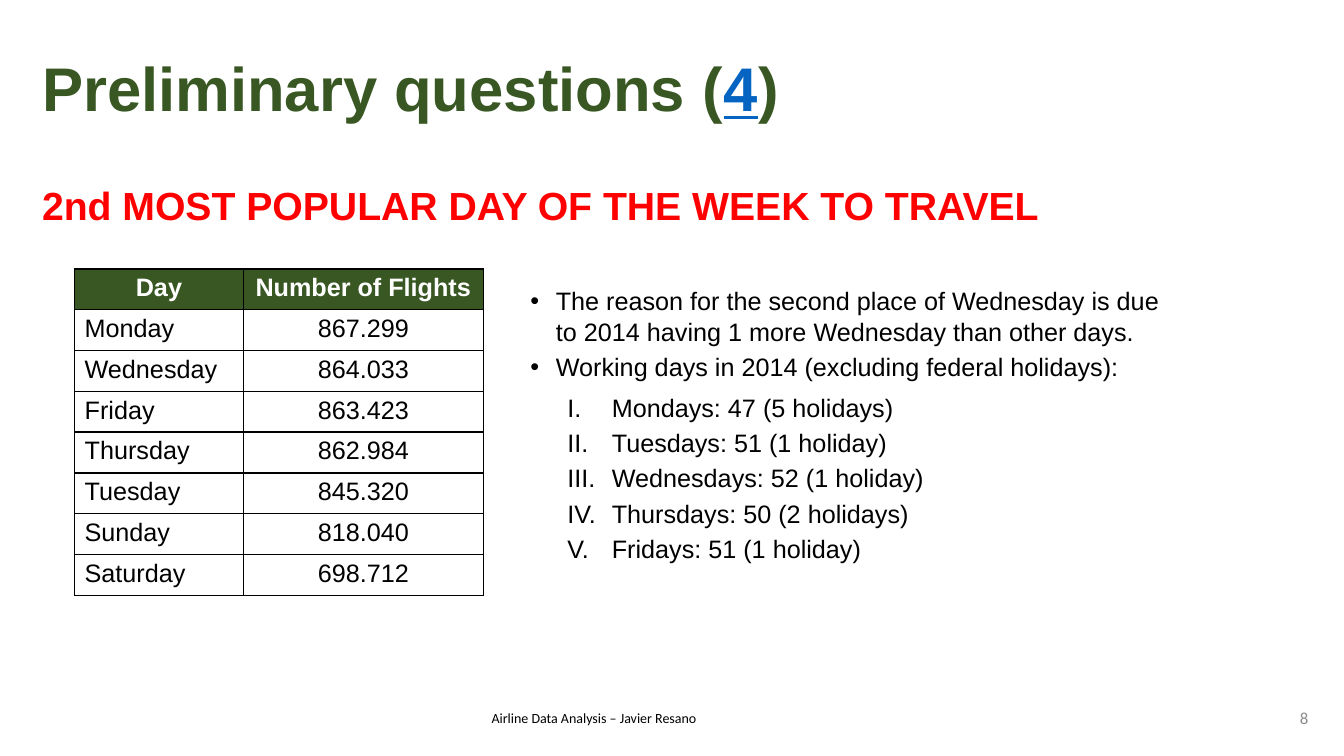
from lxml import etree
from pptx import Presentation
from pptx.dml.color import RGBColor
from pptx.enum.text import MSO_ANCHOR, MSO_AUTO_SIZE, PP_ALIGN
from pptx.oxml.ns import qn
from pptx.util import Cm, Pt

GREEN = RGBColor(0x38, 0x57, 0x23)
BLUE = RGBColor(0x05, 0x63, 0xC1)
RED = RGBColor(0xFF, 0x00, 0x00)
BLACK = RGBColor(0x00, 0x00, 0x00)
WHITE = RGBColor(0xFF, 0xFF, 0xFF)
GREY = RGBColor(0x8C, 0x8C, 0x8C)
LEFT, CENTER, RIGHT = PP_ALIGN.LEFT, PP_ALIGN.CENTER, PP_ALIGN.RIGHT
MIDDLE = MSO_ANCHOR.MIDDLE

BODY = {"size": Pt(18), "name": "Arial", "bold": False}
HEADER = {**BODY, "bold": True}
TITLE = {**HEADER, "size": Pt(44)}
HEADING = {**HEADER, "size": Pt(28)}
SMALL = {"size": Pt(10), "name": "Calibri"}
NUMBER = {**SMALL, "size": Pt(12)}


def add_run(p, text, style, color):
    r = p.add_run()
    r.text = text
    for key, value in style.items():
        setattr(r.font, key, value)
    r.font.color.rgb = color
    return r


def add_list(tf, items, hang, tag, **mark):
    """Fill a text frame with hanging items, marked by the bullet element tag."""
    for i, item in enumerate(items):
        p = tf.paragraphs[0] if i == 0 else tf.add_paragraph()
        p.line_spacing = 1.03
        p.space_after = Pt(3)
        pPr = p._p.get_or_add_pPr()
        pPr.set("marL", str(hang))
        pPr.set("indent", str(-hang))
        etree.SubElement(pPr, qn("a:buFont"), typeface="Arial")
        etree.SubElement(pPr, qn(tag), **mark)
        add_run(p, item, BODY, BLACK)


prs = Presentation()
prs.slide_width, prs.slide_height = Cm(33.87), Cm(19.05)
s = prs.slides.add_slide(prs.slide_layouts[5])

# Title
title = s.shapes.title
title.left, title.top, title.width, title.height = Cm(0.81), Cm(0.46), Cm(29.21), Cm(3.68)
tf = title.text_frame
tf.word_wrap = True
tf.auto_size = MSO_AUTO_SIZE.NONE
tf.vertical_anchor = MIDDLE
p = tf.paragraphs[0]
p.alignment = LEFT
p.line_spacing = 0.9
add_run(p, "Preliminary questions (", TITLE, GREEN)
add_run(p, "4", TITLE, BLUE).font.underline = True
add_run(p, ")", TITLE, GREEN)

# Heading, page number and footer
lines = [
    ("2nd MOST POPULAR DAY OF THE WEEK TO TRAVEL", HEADING, RED, LEFT,
     (0.81, 4.5, 29.21, 1.3)),
    ("8", NUMBER, GREY, RIGHT, (32.13, 17.58, 1.09, 1.02)),
    ("Airline Data Analysis – Javier Resano", SMALL, BLACK, LEFT,
     (12.14, 17.75, 8.31, 0.69)),
]
for text, style, color, align, box in lines:
    tf = s.shapes.add_textbox(*map(Cm, box)).text_frame
    tf.word_wrap = True
    tf.vertical_anchor = MIDDLE
    p = tf.paragraphs[0]
    p.alignment = align
    add_run(p, text, style, color)

# Flights per day
flights = [
    ("Day", "Number of Flights"),
    ("Monday", "867.299"),
    ("Wednesday", "864.033"),
    ("Friday", "863.423"),
    ("Thursday", "862.984"),
    ("Tuesday", "845.320"),
    ("Sunday", "818.040"),
    ("Saturday", "698.712"),
]
table = s.shapes.add_table(len(flights), 2, Cm(1.88), Cm(6.78), Cm(10.3), Cm(8.18)).table
table.columns[0].width, table.columns[1].width = Cm(4.25), Cm(6.05)
for i, row in enumerate(flights):
    table.rows[i].height = Cm(1.03 if i else 0.97)
    for j, text in enumerate(row):
        cell = table.cell(i, j)
        p = cell.text_frame.paragraphs[0]
        p.alignment = CENTER if i == 0 or j == 1 else LEFT
        if i == 0:
            cell.fill.solid()
            cell.fill.fore_color.rgb = GREEN
            add_run(p, text, HEADER, WHITE)
        else:
            cell.fill.background()
            add_run(p, text, BODY, BLACK)
        tcPr = cell._tc.get_or_add_tcPr()
        for k, side in enumerate(("a:lnL", "a:lnR", "a:lnT", "a:lnB")):
            ln = etree.Element(qn(side), w=str(Pt(1)))
            fill = etree.SubElement(ln, qn("a:solidFill"))
            etree.SubElement(fill, qn("a:srgbClr"), val=str(BLACK))
            tcPr.insert(k, ln)

# Explanation and working days
reasons = s.shapes.add_textbox(Cm(13.12), Cm(7.04), Cm(16.9), Cm(2.8)).text_frame
reasons.word_wrap = True
add_list(reasons, [
    "The reason for the second place of Wednesday is due to 2014 having 1 more "
    "Wednesday than other days.",
    "Working days in 2014 (excluding federal holidays):",
], Cm(0.64), "a:buChar", char="•")

working_days = s.shapes.add_textbox(Cm(14.05), Cm(9.73), Cm(9.58), Cm(4.88)).text_frame
working_days.word_wrap = True
add_list(working_days, [
    "Mondays: 47 (5 holidays)",
    "Tuesdays: 51 (1 holiday)",
    "Wednesdays: 52 (1 holiday)",
    "Thursdays: 50 (2 holidays)",
    "Fridays: 51 (1 holiday)",
], Cm(1.12), "a:buAutoNum", type="romanUcPeriod")

prs.save("out.pptx")
